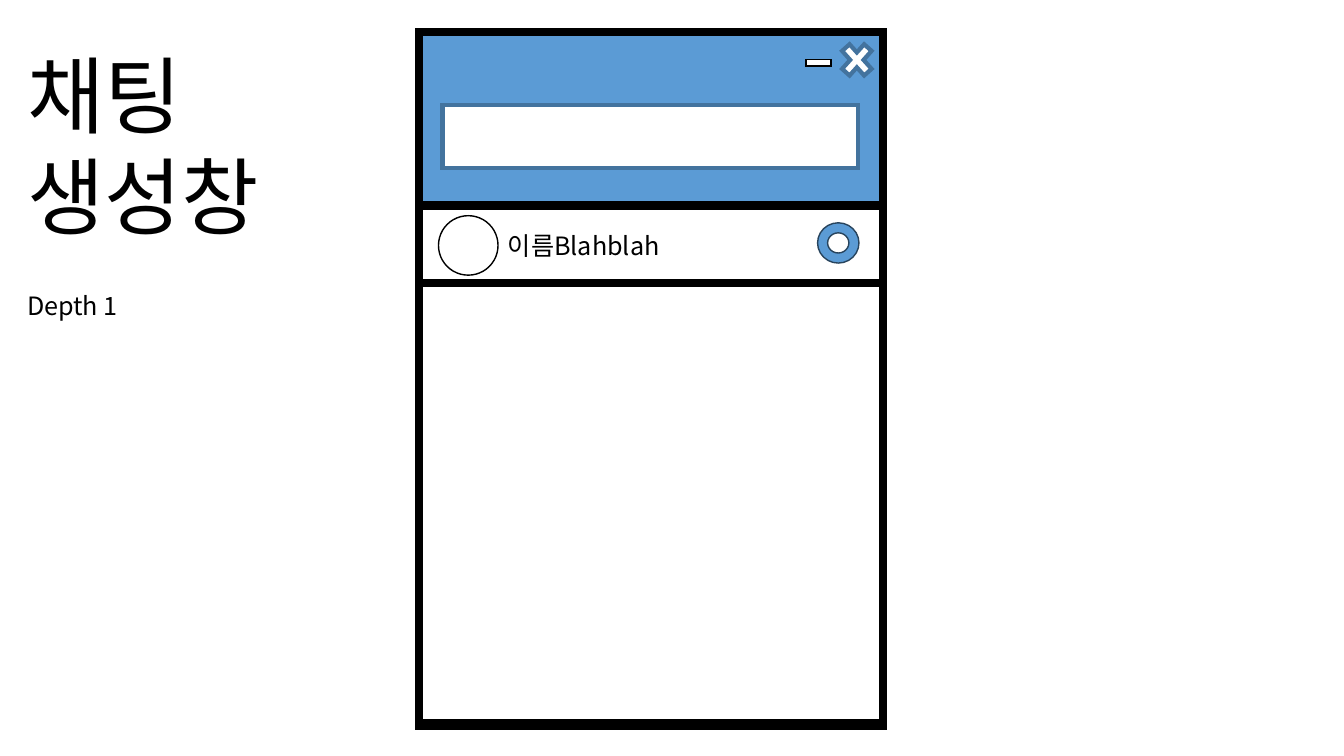
from dataclasses import dataclass

from lxml import etree
from pptx import Presentation
from pptx.dml.color import RGBColor
from pptx.enum.shapes import MSO_SHAPE
from pptx.enum.text import MSO_ANCHOR, MSO_AUTO_SIZE, PP_ALIGN
from pptx.oxml.ns import qn
from pptx.util import Inches, Pt

RECTANGLE = MSO_SHAPE.RECTANGLE
OVAL = MSO_SHAPE.OVAL
DONUT = MSO_SHAPE.DONUT
MINUS = MSO_SHAPE.MATH_MINUS
MULTIPLY = MSO_SHAPE.MATH_MULTIPLY
TOP = MSO_ANCHOR.TOP
FIXED_SIZE = MSO_AUTO_SIZE.NONE
LEFT = PP_ALIGN.LEFT

WIDTH = Inches(13.333)
HEIGHT = Inches(7.5)
TITLE_ONLY = 5

WINDOW_LEFT, WINDOW_WIDTH = 31.2, 34.5
CONTACT_TOP, CONTACT_HEIGHT = 27.2, 10.27
BODY_TOP = CONTACT_TOP + CONTACT_HEIGHT
CONTACT_ITEM_TOP, LABEL_HEIGHT = 29.47, 5.33
TEXT_LEFT, PAGE_TOP = 1.28, 4.27


@dataclass(frozen=True)
class Theme:
    font: str = "Noto Sans CJK KR"
    black: RGBColor = RGBColor(0, 0, 0)
    white: RGBColor = RGBColor(255, 255, 255)
    blue: RGBColor = RGBColor(0x5B, 0x9B, 0xD5)
    edge: RGBColor = RGBColor(0x43, 0x73, 0x9E)
    dark_edge: RGBColor = RGBColor(0x28, 0x44, 0x5D)
    title_size: int = 60
    label_size: int = 18
    line_pitch: float = 1.2
    frame: int = 6
    border: int = 3
    hairline: int = 1


THEME = Theme()


def set_attributes(target, values):
    for name, value in values.items():
        setattr(target, name, value)


def share_of_slide(left, top, width, height):
    return [
        round(share * side / 100)
        for share, side in zip((left, top, width, height), (WIDTH, HEIGHT) * 2)
    ]


def add_outlined_shape(slide, kind, area, fill, line_color, line_width):
    shape = slide.shapes.add_shape(kind, *share_of_slide(*area))
    shape.shadow.inherit = False
    shape.fill.solid()
    shape.fill.fore_color.rgb = fill
    shape.line.color.rgb = line_color
    shape.line.width = Pt(line_width)
    outline = shape.line._get_or_add_ln()
    etree.SubElement(outline, qn("a:miter")).set("lim", "800000")


def write_text(shape, lines, size, top_inset):
    frame = shape.text_frame
    frame.text = "\n".join(lines)
    set_attributes(frame, {
        "word_wrap": True,
        "auto_size": FIXED_SIZE,
        "vertical_anchor": TOP,
        "margin_left": Inches(0.1),
        "margin_right": Inches(0.1),
        "margin_top": Inches(top_inset),
        "margin_bottom": 0,
    })
    for paragraph in frame.paragraphs:
        set_attributes(paragraph, {
            "alignment": LEFT,
            "line_spacing": Pt(size * THEME.line_pitch),
            "space_before": Pt(0),
        })
        for run in paragraph.runs:
            set_attributes(run.font, {"name": THEME.font, "size": Pt(size)})
            run.font.color.rgb = THEME.black
            east_asian = etree.SubElement(run.font._element, qn("a:ea"))
            east_asian.set("typeface", THEME.font)


def place_title(slide, lines, area):
    title = slide.shapes.title
    names = ("left", "top", "width", "height")
    set_attributes(title, dict(zip(names, share_of_slide(*area))))
    write_text(title, lines, THEME.title_size, 0.11)


def add_label(slide, text, area):
    box = slide.shapes.add_textbox(*share_of_slide(*area))
    write_text(box, [text], THEME.label_size, 0.07)


def add_window(slide):
    frame = (THEME.black, THEME.frame)
    for top, height, fill in (
        (PAGE_TOP, 91.73, THEME.blue),
        (BODY_TOP, 58.27, THEME.white),
        (CONTACT_TOP, CONTACT_HEIGHT, THEME.white),
    ):
        area = (WINDOW_LEFT, top, WINDOW_WIDTH, height)
        add_outlined_shape(slide, RECTANGLE, area, fill, *frame)


def add_controls(slide):
    border = (THEME.edge, THEME.border)
    hairline = (THEME.black, THEME.hairline)
    for kind, area, fill, line in (
        (MULTIPLY, (62.18, 4.8, 3.15, 6.27), THEME.white, border),
        (RECTANGLE, (32.93, 13.87, 30.9, 8.4), THEME.white, border),
        (MINUS, (59.63, 6.53, 2.55, 3.6), THEME.white, hairline),
        (OVAL, (32.63, 28.53, 4.43, 7.87), THEME.white, hairline),
        (DONUT, (60.83, CONTACT_ITEM_TOP, 3.08, LABEL_HEIGHT), THEME.blue,
         (THEME.dark_edge, THEME.hairline)),
    ):
        add_outlined_shape(slide, kind, area, fill, *line)


def main():
    presentation = Presentation()
    set_attributes(presentation, {"slide_width": WIDTH, "slide_height": HEIGHT})
    slide = presentation.slides.add_slide(presentation.slide_layouts[TITLE_ONLY])
    place_title(slide, ["채팅", "생성창"], (TEXT_LEFT, PAGE_TOP, 28.65, 28.27))
    add_window(slide)
    add_controls(slide)
    add_label(slide, "이름Blahblah", (37.05, CONTACT_ITEM_TOP, 14.85, LABEL_HEIGHT))
    add_label(slide, "Depth 1", (TEXT_LEFT, BODY_TOP, 22.2, LABEL_HEIGHT))
    presentation.save("out.pptx")


if __name__ == "__main__":
    main()
